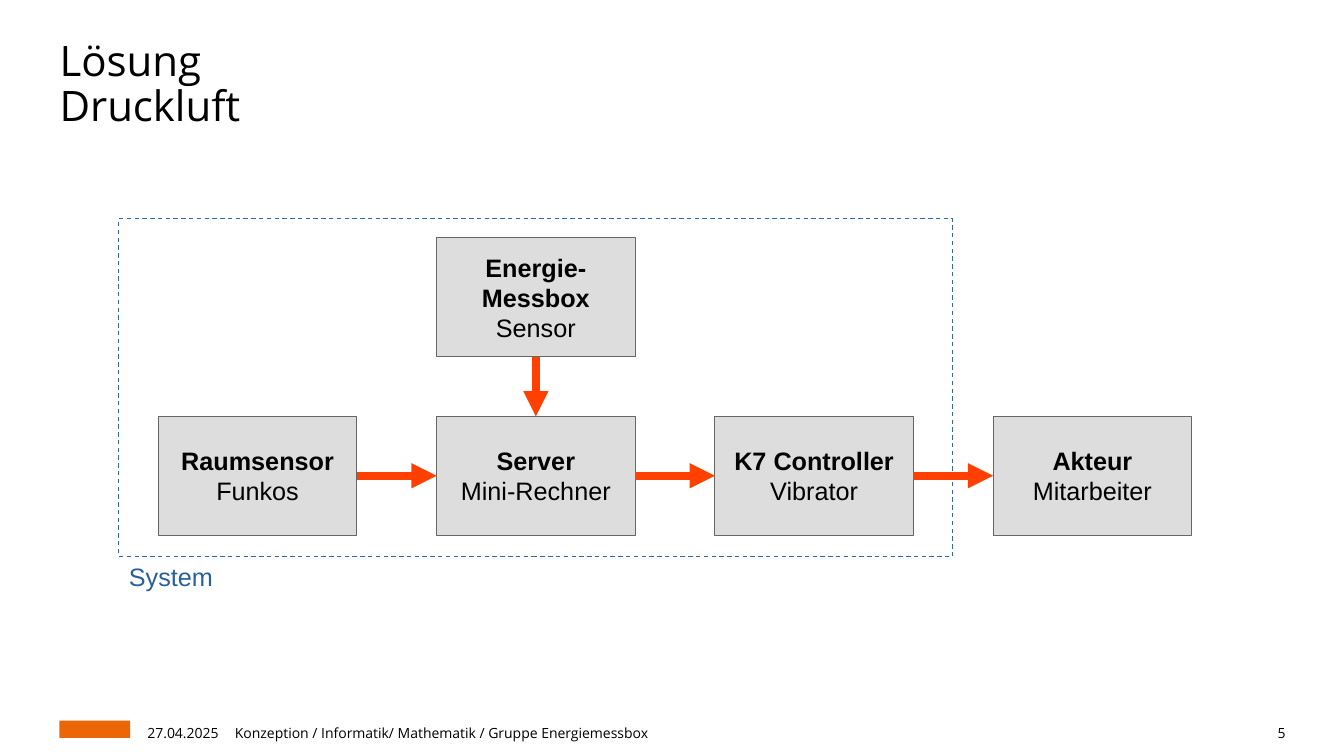
from lxml import etree
from pptx import Presentation
from pptx.dml.color import RGBColor
from pptx.enum.dml import MSO_LINE
from pptx.enum.shapes import MSO_CONNECTOR, MSO_SHAPE
from pptx.enum.text import MSO_ANCHOR as ANCHOR, PP_ALIGN as ALIGN
from pptx.oxml.ns import qn
from pptx.util import Pt

PX = 9144  # EMU per px, 100 px to the inch
BOX_W, BOX_H, BOX_PITCH = 197, 118, 276
TOP, LEFT, BOTTOM, RIGHT = range(4)


def emu(*lengths):
    return [n * PX for n in lengths]


def color(value):
    return RGBColor.from_string(value)


def add_run(p, text, size, font="Arial", ink="000000", bold=False):
    r = p.add_run()
    r.text = text
    r.font.size, r.font.name, r.font.bold = Pt(size), font, bold
    r.font.color.rgb = color(ink)


def set_frame(tf, anchor, dx=0, dy=0):
    """Set wrapping, anchor and the side and top/bottom margins."""
    tf.word_wrap, tf.vertical_anchor = True, anchor
    tf.margin_left = tf.margin_right = dx * PX
    tf.margin_top = tf.margin_bottom = dy * PX


def add_rect(s, box, fill=None, line=None, width=0):
    sp = s.shapes.add_shape(MSO_SHAPE.RECTANGLE, *emu(*box))
    sp.shadow.inherit = False
    if fill:
        sp.fill.solid()
        sp.fill.fore_color.rgb = color(fill)
    else:
        sp.fill.background()
    if line:
        sp.line.color.rgb = color(line)
        sp.line.width = Pt(width)
    else:
        sp.line.fill.background()
    return sp


def add_node(s, x, y, names, role):
    """Add a grey box with bold name lines above a plain role."""
    sp = add_rect(s, (x, y, BOX_W, BOX_H), "DDDDDD", "666666")
    tf = sp.text_frame
    set_frame(tf, ANCHOR.MIDDLE, 10, 5)
    for i, text in enumerate([*names, role]):
        p = tf.add_paragraph() if i else tf.paragraphs[0]
        p.alignment = ALIGN.CENTER
        add_run(p, text, 18, bold=i < len(names))
    return sp


def add_arrow(s, start, start_side, end, end_side):
    cxn = s.shapes.add_connector(MSO_CONNECTOR.STRAIGHT, 0, 0, 0, 0)
    cxn.begin_connect(start, start_side)
    cxn.end_connect(end, end_side)
    cxn.line.color.rgb = color("FF4000")
    cxn.line.width = Pt(6)
    etree.SubElement(cxn.line._get_or_add_ln(), qn("a:tailEnd"), type="triangle")
    etree.SubElement(cxn._element.spPr, qn("a:effectLst"))


def add_title(s, box, lines):
    title = s.shapes.title
    title.left, title.top, title.width, title.height = emu(*box)
    set_frame(title.text_frame, ANCHOR.TOP)
    p = title.text_frame.paragraphs[0]
    p.alignment, p.line_spacing = ALIGN.LEFT, 0.88
    for i, text in enumerate(lines):
        if i:
            p.add_line_break()
        add_run(p, text, 30, "Open Sans")


def add_system(s, x, y, w, h):
    """Add the dashed system frame, its label, the nodes and the arrows."""
    frame = add_rect(s, (x, y, w, h), line="3465A4", width=0.79)
    frame.line.dash_style = MSO_LINE.DASH
    label = s.shapes.add_textbox(*emu(x, y + h, 138, 66))
    set_frame(label.text_frame, ANCHOR.TOP, 10, 5)
    add_run(label.text_frame.paragraphs[0], "System", 18, ink="2A6099")

    chain = [("Raumsensor", "Funkos"), ("Server", "Mini-Rechner"),
             ("K7 Controller", "Vibrator"), ("Akteur", "Mitarbeiter")]
    nodes = [add_node(s, x + 39 + i * BOX_PITCH, y + 196, [name], role)
             for i, (name, role) in enumerate(chain)]
    meter = add_node(s, x + 39 + BOX_PITCH, y + 19, ["Energie-", "Messbox"], "Sensor")
    for start, end in zip(nodes, nodes[1:]):
        add_arrow(s, start, RIGHT, end, LEFT)
    add_arrow(s, meter, BOTTOM, nodes[1], TOP)


def add_footer(s, x, y, w, h):
    """Add the plain mark, date, group and page number in one row."""
    add_rect(s, (x, y, 70, 17), "EC6608")
    parts = [(81, 83, ALIGN.CENTER, "27.04.2025"),
             (174, 945, ALIGN.LEFT,
              "Konzeption / Informatik/ Mathematik / Gruppe Energiemessbox"),
             (w - 59, 59, ALIGN.RIGHT, "5")]
    for dx, width, align, text in parts:
        tf = s.shapes.add_textbox(*emu(x + dx, y, width, h)).text_frame
        set_frame(tf, ANCHOR.BOTTOM)
        p = tf.paragraphs[0]
        p.alignment, p.line_spacing, p.space_after = align, 1.1, Pt(10)
        add_run(p, text, 10, "Open Sans")


def main():
    prs = Presentation()
    prs.slide_width, prs.slide_height = emu(1333, 750)
    s = prs.slides.add_slide(prs.slide_layouts[5])
    add_title(s, (59, 41, 1216, 98), ["Lösung", "Druckluft"])
    add_system(s, 118, 217, 827, 335)
    add_footer(s, 59, 715, 1216, 20)
    prs.save("out.pptx")


if __name__ == "__main__":
    main()
